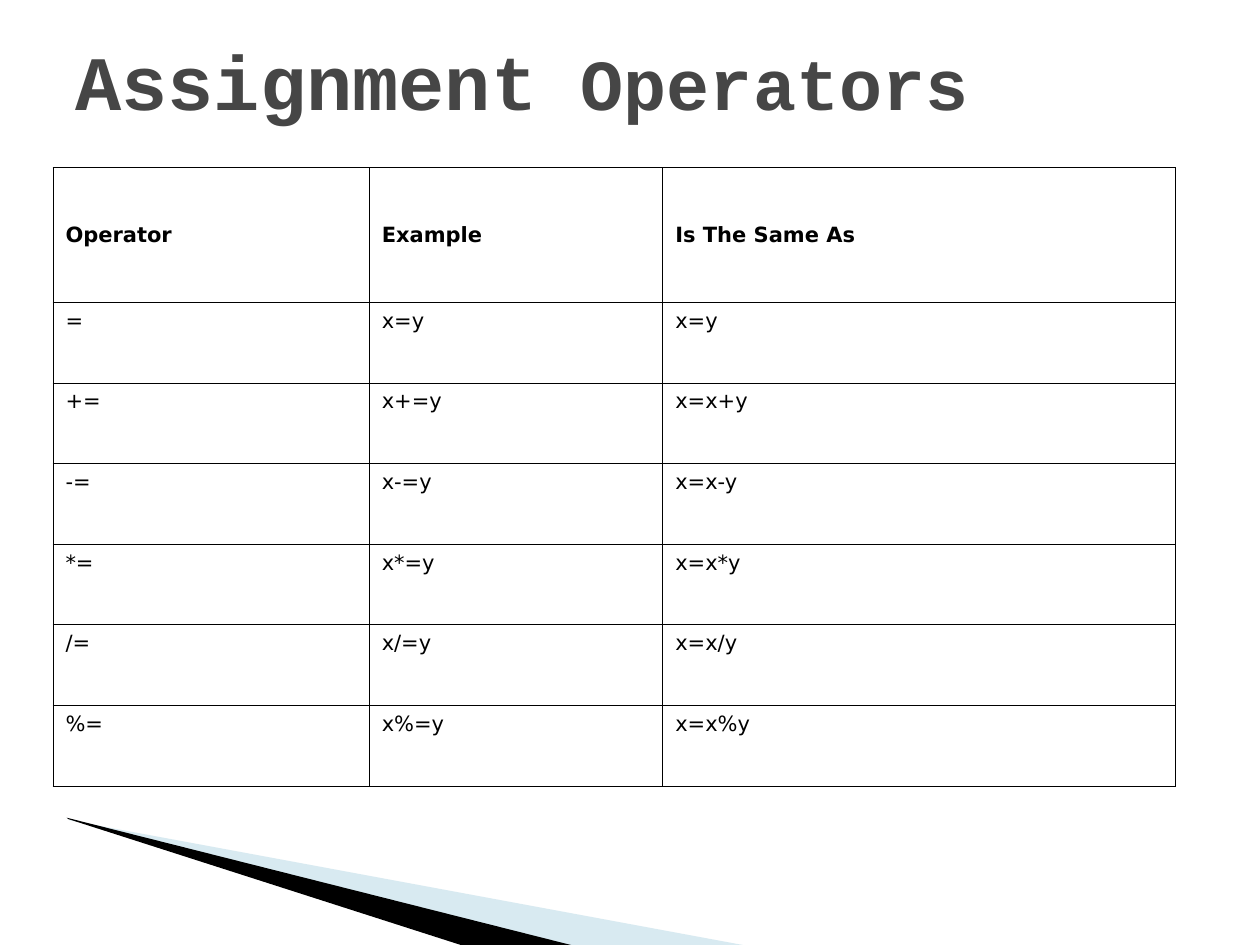
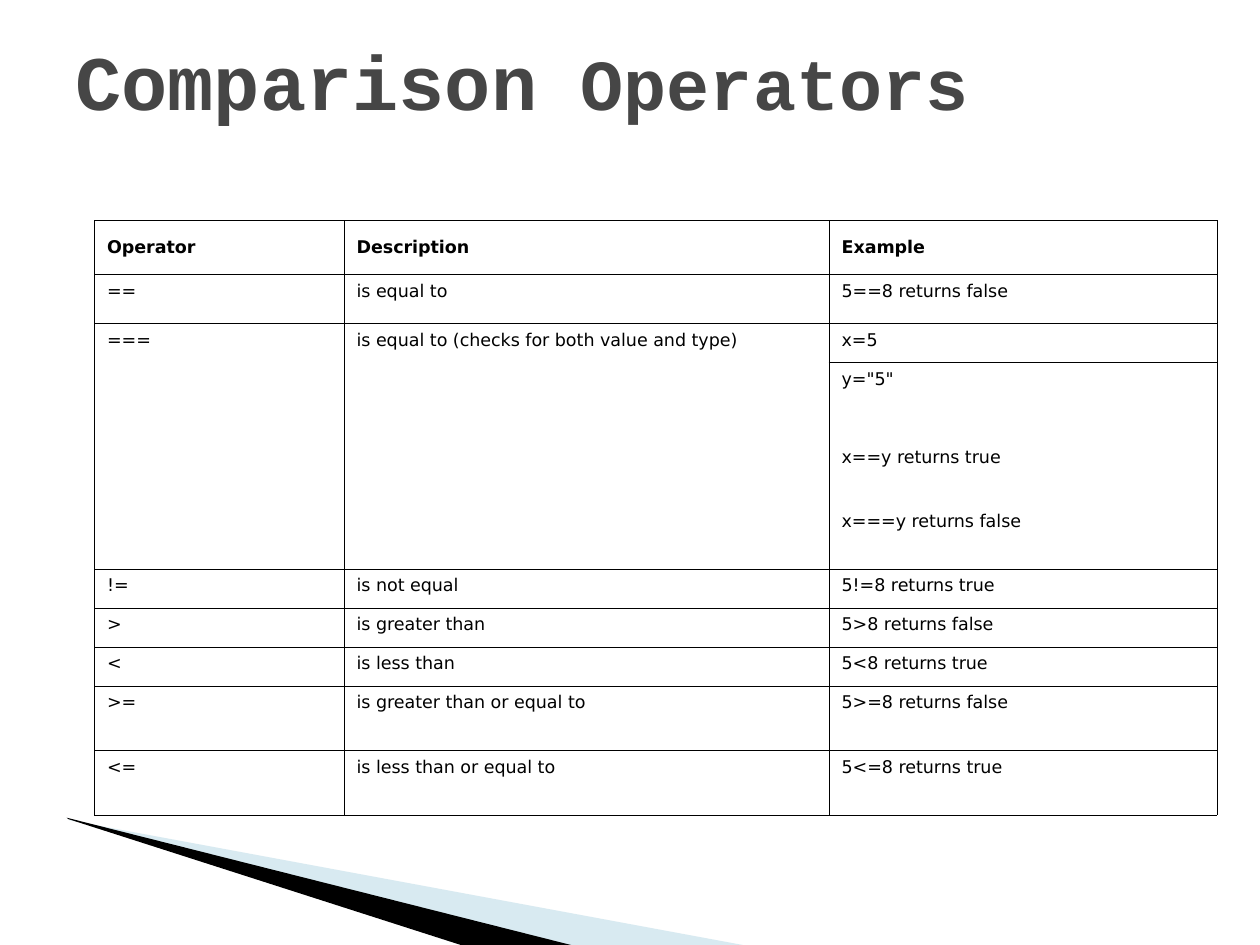
from lxml import etree
from pptx import Presentation
from pptx.dml.color import RGBColor
from pptx.enum.text import MSO_ANCHOR
from pptx.oxml.ns import qn
from pptx.util import Inches, Pt

MIDDLE, TOP = MSO_ANCHOR.MIDDLE, MSO_ANCHOR.TOP
WIDTH, HEIGHT = 10, 7.5
BLACK, WHITE, TITLE_GREY, PALE_BLUE = "000000", "FFFFFF", "464646", "9FCBDC"
TITLE_FONT, TABLE_FONT = "Courier New", "DejaVu Sans"
BORDER_WIDTH = Pt(0.45)
HANGING = Inches(0.38)
NO_STYLE = "{2D5ABB26-0587-4C30-8999-92F81FD0307C}"

WEDGES = [
    (PALE_BLUE, 40, [(0.55, 6.51), (5.95, 7.51), (4.56, 7.51), (0.55, 6.5)]),
    (BLACK, 100, [(0.53, 6.49), (4.57, 7.51), (3.72, 7.52), (0.54, 6.5)]),
]

SLIDES = [
    {
        "title": [("Assignment", 44), (" Operators", 41)],
        "corner": (0.42, 1.33),
        "size": 12,
        "columns": [2.51, 2.33, 4.07],
        "row_heights": [1.07] + [0.64] * 6,
        "joined_rows": None,
        "rows": [
            ("Operator", "Example", "Is The Same As"),
            ("=", "x=y", "x=y"),
            ("+=", "x+=y", "x=x+y"),
            ("-=", "x-=y", "x=x-y"),
            ("*=", "x*=y", "x=x*y"),
            ("/=", "x/=y", "x=x/y"),
            ("%=", "x%=y", "x=x%y"),
        ],
    },
    {
        "title": [("Comparison", 44), (" Operators", 41)],
        "corner": (0.75, 1.75),
        "size": 10,
        "columns": [1.98, 3.85, 3.08],
        "row_heights": [0.43, 0.39] + ([0.31] * 3 + [0.51] * 2) * 2,
        "joined_rows": (2, 6),
        "rows": [
            ("Operator", "Description", "Example"),
            ("==", "is equal to", "5==8 returns false"),
            ("===", "is equal to (checks for both value and type)", "x=5"),
            ("", "", 'y="5"'),
            ("", "", ""),
            ("", "", "x==y returns true"),
            ("", "", "x===y returns false"),
            ("!=", "is not equal", "5!=8 returns true"),
            (">", "is greater than", "5>8 returns false"),
            ("<", "is less than", "5<8 returns true"),
            (">=", "is greater than or equal to", "5>=8 returns false"),
            ("<=", "is less than or equal to", "5<=8 returns true"),
        ],
    },
]


def colour(hex_string):
    return RGBColor.from_string(hex_string)


def add_run(paragraph, text, font_name, size, hex_string, bold):
    run = paragraph.add_run()
    run.text = text
    run.font.name = font_name
    run.font.size = Pt(size)
    run.font.color.rgb = colour(hex_string)
    run.font.bold = bold


def add_wedge(slide, hex_string, opacity, points):
    builder = slide.shapes.build_freeform(*[Inches(v) for v in points[0]])
    builder.add_line_segments([(Inches(x), Inches(y)) for x, y in points[1:]])
    shape = builder.convert_to_shape()
    shape.shadow.inherit = False
    shape.line.fill.background()
    shape.fill.solid()
    shape.fill.fore_color.rgb = colour(hex_string)
    if opacity < 100:
        fill_colour = shape.fill._xPr.find(".//" + qn("a:srgbClr"))
        etree.SubElement(fill_colour, qn("a:alpha"), val=str(opacity * 1000))


def add_title(slide, parts):
    box = slide.shapes.add_textbox(
        Inches(WIDTH * 0.05), Inches(0.19), Inches(WIDTH * 0.9), Inches(0.89))
    frame = box.text_frame
    frame.word_wrap = True
    frame.vertical_anchor = MIDDLE
    for text, size in parts:
        add_run(frame.paragraphs[0], text, TITLE_FONT, size, TITLE_GREY, True)


def add_borders(cell, sides):
    properties = cell._tc.get_or_add_tcPr()
    for side in sides:
        line = etree.SubElement(properties, qn("a:ln" + side), w=str(BORDER_WIDTH))
        fill = etree.SubElement(line, qn("a:solidFill"))
        etree.SubElement(fill, qn("a:srgbClr"), val=BLACK)


def border_sides(row, joined_rows):
    if not joined_rows or not joined_rows[0] <= row <= joined_rows[1]:
        return "LRTB"
    first, last = joined_rows
    return "LR" + ("T" if row == first else "") + ("B" if row == last else "")


def fill_cell(cell, text, size, is_header):
    cell.fill.solid()
    cell.fill.fore_color.rgb = colour(WHITE)
    cell.vertical_anchor = MIDDLE if is_header else TOP
    paragraph = cell.text_frame.paragraphs[0]
    properties = paragraph._p.get_or_add_pPr()
    properties.set("marL", str(HANGING))
    properties.set("indent", str(-HANGING))
    if text:
        add_run(paragraph, text, TABLE_FONT, size, BLACK, is_header)
    else:
        etree.SubElement(paragraph._p, qn("a:endParaRPr"), sz=str(size * 100))


def add_operator_table(slide, content):
    rows, columns = content["rows"], content["columns"]
    heights, joined_rows = content["row_heights"], content["joined_rows"]
    left, top = content["corner"]
    table = slide.shapes.add_table(
        len(rows), len(columns), Inches(left), Inches(top),
        Inches(sum(columns)), Inches(sum(heights))).table
    table.first_row = table.horz_banding = False
    table._tbl.tblPr.find(qn("a:tableStyleId")).text = NO_STYLE
    for column, width in zip(table.columns, columns):
        column.width = Inches(width)
    for row, height in zip(table.rows, heights):
        row.height = Inches(height)
    for row_index, texts in enumerate(rows):
        for column_index, text in enumerate(texts):
            cell = table.cell(row_index, column_index)
            add_borders(cell, border_sides(row_index, joined_rows))
            fill_cell(cell, text, content["size"], row_index == 0)
    if joined_rows:
        first, last = joined_rows
        for column_index in range(len(columns) - 1):
            table.cell(first, column_index).merge(table.cell(last, column_index))


def main():
    presentation = Presentation()
    presentation.slide_width = Inches(WIDTH)
    presentation.slide_height = Inches(HEIGHT)
    for content in SLIDES:
        slide = presentation.slides.add_slide(presentation.slide_layouts[6])
        for wedge in WEDGES:
            add_wedge(slide, *wedge)
        add_title(slide, content["title"])
        add_operator_table(slide, content)
    presentation.save("out.pptx")


if __name__ == "__main__":
    main()
